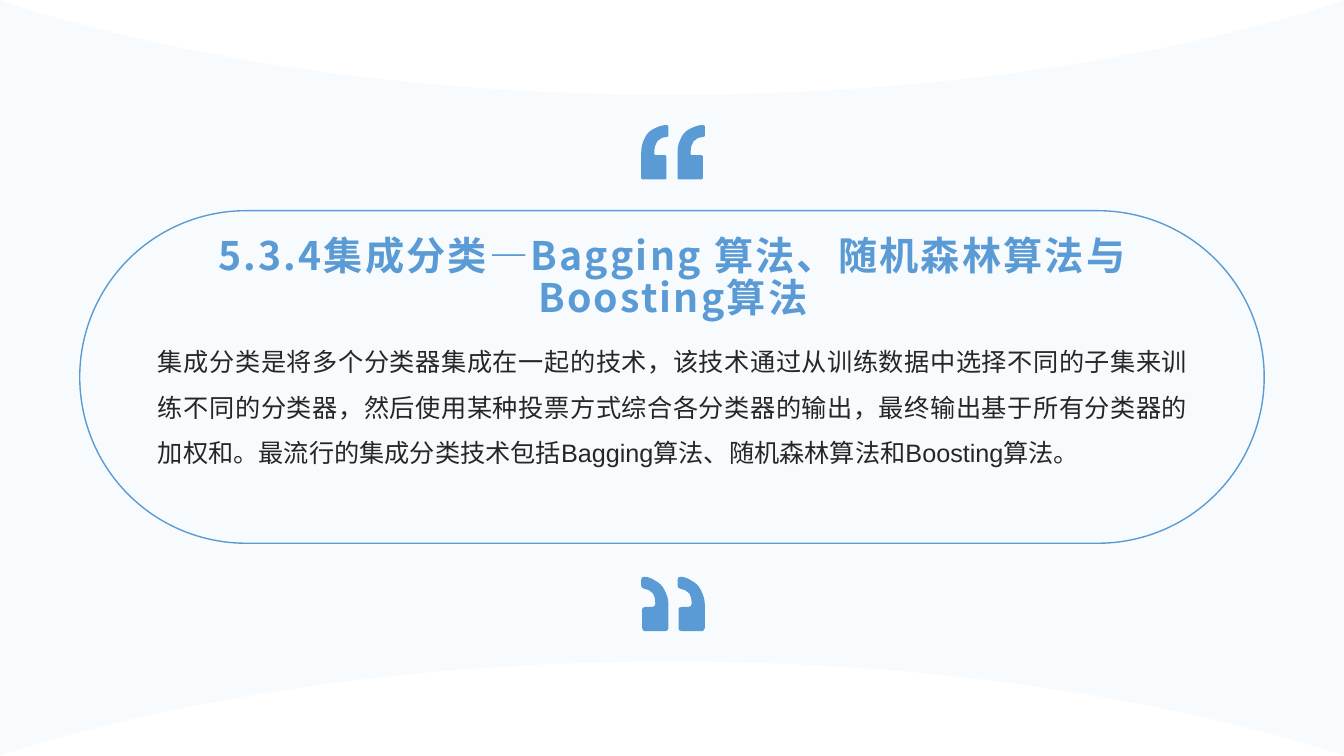
"""Build the ensemble classification quote slide."""
from dataclasses import dataclass

from pptx import Presentation
from pptx import util as u
from pptx.dml.color import RGBColor
from pptx.enum import shapes, text
from pptx.oxml.ns import qn
from lxml import etree


@dataclass(frozen=True)
class Theme:
    """Colours, fonts and type sizes."""
    blue: str = "5B9BD5"
    pale: str = "DEEBF7"
    ink: str = "262626"
    latin: str = "Arial"
    han: str = "Noto Sans CJK SC"
    head: int = 28
    body: int = 18


THEME = Theme()
WIDE, HIGH = 33.87, 19.05
LEFT, SPAN = 3.98, 25.96
COLS, ROWS = 1333, 750
UNIT = WIDE / COLS

EDGE = [(0, 0), (10, 4), (188, 60, 417, 94, 667, 94),
        (916, 94, 1145, 60, 1323, 4), (1333, 0)]
OPEN = [(0, 27), (0, 22, 1, 18, 3, 14), (5, 9, 8, 6, 12, 4),
        (16, 2, 20, 0, 25, 0), (26, 0, 27, 1, 27, 1), (27, 11),
        (27, 11, 26, 12, 25, 12), (21, 12, 18, 14, 16, 16),
        (14, 19, 13, 22, 13, 27), (13, 29), (13, 29, 13, 30, 14, 30),
        (24, 30), (25, 30, 25, 31, 25, 31), (25, 53),
        (25, 54, 25, 54, 24, 54), (1, 54), (1, 54, 0, 54, 0, 53)]
CLOSE = [(0, 9), (0, 10, 1, 12, 3, 12), (6, 12, 9, 14, 11, 16),
         (13, 18, 14, 22, 14, 27), (14, 28, 13, 30, 11, 30), (4, 30),
         (2, 30, 1, 31, 1, 32), (1, 51), (1, 53, 2, 54, 4, 54), (24, 54),
         (25, 54, 27, 53, 27, 51), (27, 27), (27, 22, 25, 17, 23, 13),
         (21, 9, 18, 6, 14, 4), (11, 2, 7, 0, 3, 0), (1, 0, 0, 1, 0, 3)]


def move(loop, left, top, sign=1):
    """Shift a loop on the grid, turned by half when sign is -1."""
    base = (left, top)
    return [tuple(base[i % 2] + sign * v for i, v in enumerate(seg))
            for seg in loop]


def points(loop):
    """List every point of a loop as slide lengths."""
    return [(u.Cm(seg[i] * UNIT), u.Cm(seg[i + 1] * UNIT))
            for seg in loop for i in range(0, len(seg), 2)]


def bend(shape, loops):
    """Join each three points of a curve segment into one cubic."""
    nodes = iter(list(shape._element.iter(qn("a:lnTo"))))
    for seg in (seg for loop in loops for seg in loop[1:]):
        node = next(nodes)
        if len(seg) == 6:
            node.tag = qn("a:cubicBezTo")
            for _ in range(2):
                tail = next(nodes)
                node.append(tail[0])
                tail.getparent().remove(tail)


def outline(slide, loops, color):
    """Add one filled freeform made of closed loops."""
    pen = None
    for loop in loops:
        dots = points(loop)
        if pen:
            pen.move_to(*dots[0])
        else:
            pen = slide.shapes.build_freeform(*dots[0])
        pen.add_line_segments(dots[1:], close=True)
    shape = pen.convert_to_shape()
    bend(shape, loops)
    shape.shadow.inherit = False
    shape.fill.solid()
    shape.fill.fore_color.rgb = RGBColor.from_string(color)
    shape.line.fill.background()
    return shape


def band(slide):
    """Add the translucent field between two arcs."""
    loop = EDGE + move(EDGE, COLS, ROWS, -1)
    shape = outline(slide, [loop], THEME.pale)
    tint = shape._element.spPr.find(".//" + qn("a:srgbClr"))
    etree.SubElement(tint, qn("a:alpha"), val="20000")


def quote(slide, mark, top):
    """Add a pair of quotation marks."""
    outline(slide, [move(mark, left, top) for left in (636, 672)],
            THEME.blue)


def frame(slide):
    """Add the capsule outline."""
    shape = slide.shapes.add_shape(
        shapes.MSO_SHAPE.ROUNDED_RECTANGLE,
        u.Cm(2.01), u.Cm(5.31), u.Cm(29.85), u.Cm(8.38))
    shape.adjustments[0] = 0.5
    shape.shadow.inherit = False
    shape.fill.background()
    shape.line.color.rgb = RGBColor.from_string(THEME.blue)
    shape.line.width = u.Pt(1)


def block(slide, top, high, align, space, inset=(0, 0)):
    """Add a wrapped text box and return its frame and paragraph."""
    box = slide.shapes.add_textbox(
        u.Cm(LEFT), u.Cm(top), u.Cm(SPAN), u.Cm(high)).text_frame
    box.word_wrap = True
    box.margin_left = box.margin_right = u.Cm(inset[0])
    box.margin_top = box.margin_bottom = u.Cm(inset[1])
    para = box.paragraphs[0]
    para.alignment = align
    para.line_spacing = space
    return box, para


def write(para, words, size, color, latin, bold=False, gap=0):
    """Add one styled run."""
    run = para.add_run()
    run.text = words
    font = run.font
    font.size, font.bold, font.name = u.Pt(size), bold, latin
    font.color.rgb = RGBColor.from_string(color)
    props = run._r.get_or_add_rPr()
    if gap:
        props.set("spc", str(gap))
    etree.SubElement(props, qn("a:ea"), typeface=THEME.han)


def main():
    """Build and save the slide."""
    deck = Presentation()
    deck.slide_width, deck.slide_height = u.Cm(WIDE), u.Cm(HIGH)
    slide = deck.slides.add_slide(deck.slide_layouts[6])
    band(slide)
    quote(slide, OPEN, 124)
    quote(slide, CLOSE, 572)
    frame(slide)

    box, para = block(slide, 5.86, 2.34, text.PP_ALIGN.CENTER, 0.9,
                      (0.25, 0.13))
    box.vertical_anchor = text.MSO_ANCHOR.MIDDLE
    write(para, "5.3.4集成分类—Bagging 算法、随机森林算法与 Boosting算法",
          THEME.head, THEME.blue, THEME.han, True, 160)

    box, para = block(slide, 8.35, 3.99, text.PP_ALIGN.JUSTIFY, 1.5)
    write(para, "集成分类是将多个分类器集成在一起的技术，该技术通过从训练数据中"
          "选择不同的子集来训练不同的分类器，然后使用某种投票方式综合各分类器的"
          "输出，最终输出基于所有分类器的加权和。最流行的集成分类技术包括"
          "Bagging算法、随机森林算法和Boosting算法。",
          THEME.body, THEME.ink, THEME.latin)
    deck.save("out.pptx")


if __name__ == "__main__":
    main()
